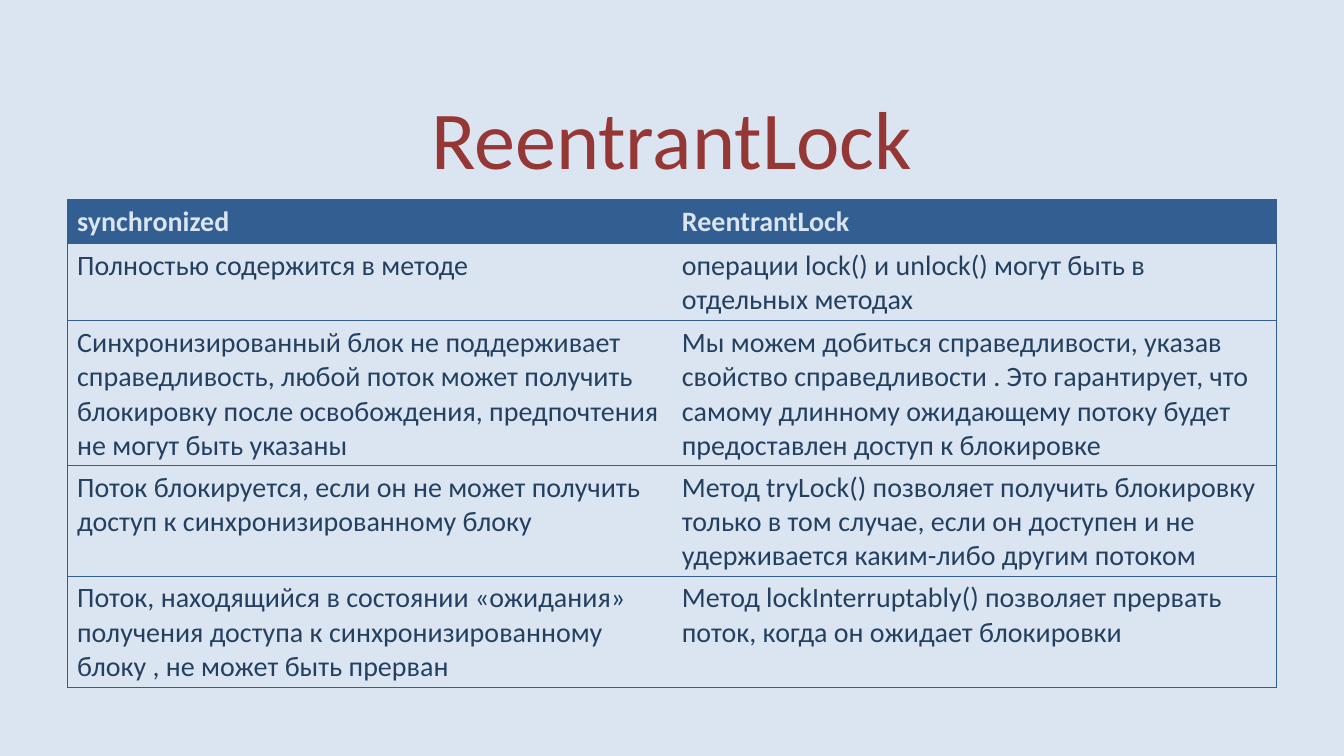
from dataclasses import dataclass

from lxml import etree
from pptx import Presentation
from pptx import util as u
from pptx.dml.color import RGBColor
from pptx.enum import text
from pptx.oxml import ns

COLORS = {
    "background": "DBE5F1",
    "title": "953734",
    "header": "335E91",
    "border": "335E91",
    "body": "244061",
}
FONT = "Calibri"
NO_STYLE = "{2D5ABB26-0587-4C30-8999-92F81FD0307C}"
LEFT, WIDTH = u.Cm(1.69), u.Cm(30.48)


@dataclass
class Row:
    height: float
    synchronized: str
    reentrant: str


ROWS = [
    Row(1.1, "synchronized", "ReentrantLock"),
    Row(1.93, "Полностью содержится в методе",
        "операции lock() и unlock() могут быть в отдельных методах"),
    Row(3.61,
        "Синхронизированный блок не поддерживает справедливость, любой поток может "
        "получить блокировку после освобождения, предпочтения не могут быть указаны",
        "Мы можем добиться справедливости, указав свойство справедливости . Это "
        "гарантирует, что самому длинному ожидающему потоку будет предоставлен "
        "доступ к блокировке"),
    Row(2.77,
        "Поток блокируется, если он не может получить доступ к синхронизированному блоку",
        "Метод tryLock() позволяет получить блокировку только в том случае, если он "
        "доступен и не удерживается каким-либо другим потоком"),
    Row(2.77,
        "Поток, находящийся в состоянии «ожидания» получения доступа к "
        "синхронизированному блоку , не может быть прерван",
        "Метод lockInterruptably() позволяет прервать поток, когда он ожидает блокировки"),
]


def rgb(name: str) -> RGBColor:
    return RGBColor.from_string(COLORS[name])


def write(tf, content: str, *, size: float, color: str, bold: bool = False,
          align=text.PP_ALIGN.LEFT, anchor=text.MSO_ANCHOR.TOP) -> None:
    tf.word_wrap = True
    tf.vertical_anchor = anchor
    p = tf.paragraphs[0]
    p.alignment = align
    r = p.add_run()
    r.text = content
    r.font.name = FONT
    r.font.size = u.Pt(size)
    r.font.bold = bold
    r.font.color.rgb = rgb(color)


def set_borders(cell, sides: set[str]) -> None:
    tc_pr = cell._tc.get_or_add_tcPr()
    for i, side in enumerate(("lnL", "lnR", "lnT", "lnB")):
        ln = etree.Element(ns.qn(f"a:{side}"), w=str(u.Pt(0.75)))
        if side in sides:
            fill = etree.SubElement(ln, ns.qn("a:solidFill"))
            etree.SubElement(fill, ns.qn("a:srgbClr"), val=COLORS["border"])
        else:
            etree.SubElement(ln, ns.qn("a:noFill"))
        tc_pr.insert(i, ln)


def add_title(s, content: str) -> None:
    sp = s.shapes.add_textbox(LEFT, u.Cm(1.86), WIDTH, u.Cm(3.17))
    write(sp.text_frame, content, size=58.7, color="title",
          align=text.PP_ALIGN.CENTER, anchor=text.MSO_ANCHOR.MIDDLE)


def add_comparison(s, rows: list[Row]) -> None:
    height = u.Cm(sum(row.height for row in rows))
    frame = s.shapes.add_table(len(rows), 2, LEFT, u.Cm(5.03), WIDTH, height)
    table = frame.table
    table.horz_banding = False
    table._tbl.tblPr.find(ns.qn("a:tableStyleId")).text = NO_STYLE
    for i, row in enumerate(rows):
        table.rows[i].height = u.Cm(row.height)
        header = i == 0
        for j, content in enumerate((row.synchronized, row.reentrant)):
            cell = table.cell(i, j)
            write(cell.text_frame, content, size=20, bold=header,
                  color="background" if header else "body")
            if header:
                cell.fill.solid()
                cell.fill.fore_color.rgb = rgb("header")
            else:
                cell.fill.background()
            set_borders(cell, {"lnT", "lnB", "lnR" if j else "lnL"})


def main() -> None:
    prs = Presentation()
    prs.slide_width, prs.slide_height = u.Cm(33.87), u.Cm(19.05)
    s = prs.slides.add_slide(prs.slide_layouts[6])
    s.background.fill.solid()
    s.background.fill.fore_color.rgb = rgb("background")
    add_title(s, "ReentrantLock")
    add_comparison(s, ROWS)
    prs.save("out.pptx")


if __name__ == "__main__":
    main()
